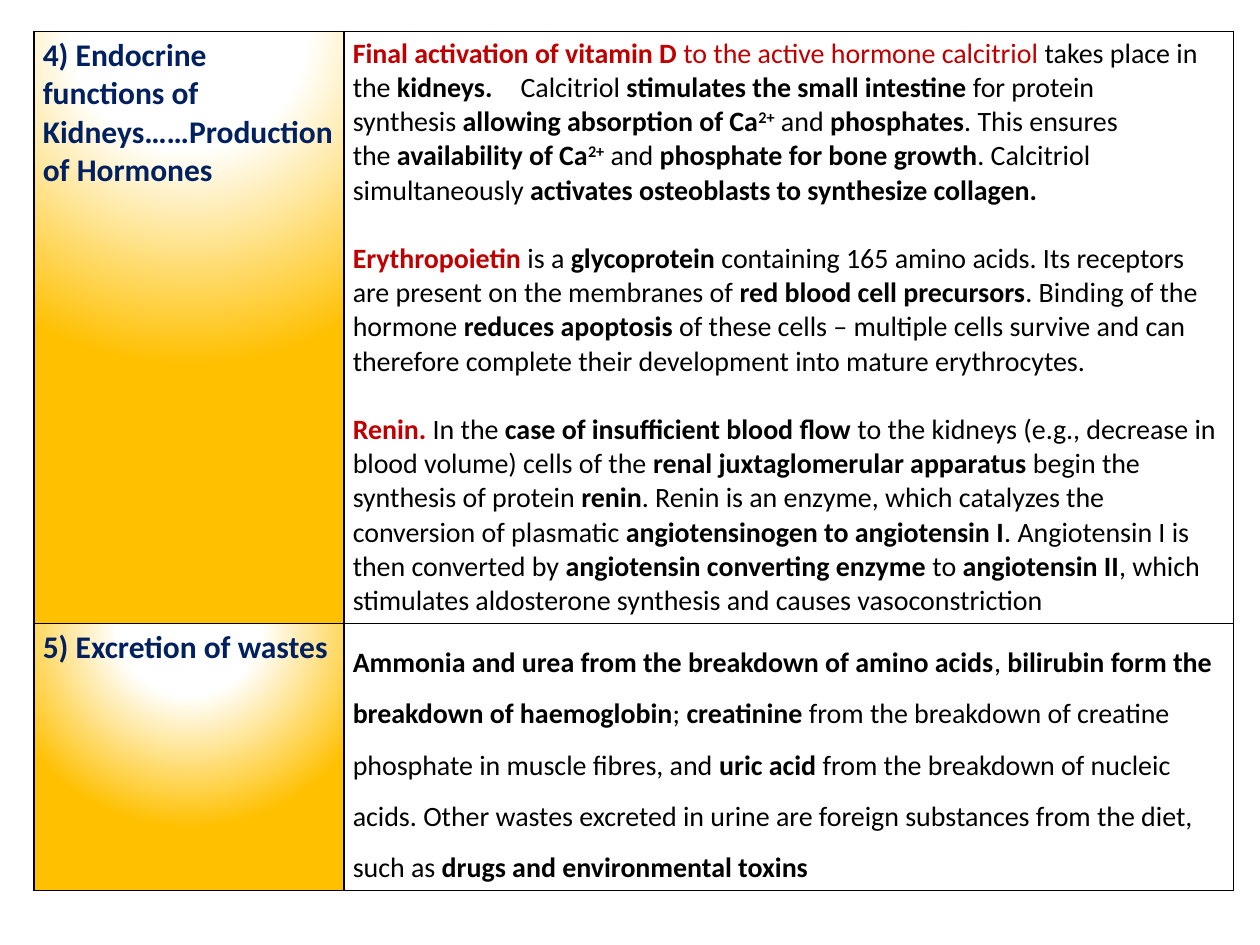
from lxml.etree import SubElement
from pptx import Presentation
from pptx.dml.color import RGBColor
from pptx.oxml.ns import qn
from pptx.util import Inches, Pt

COLORS = {"navy": "002060", "red": "C00000", "black": "000000",
          "white": "FFFFFF", "gold": "FFC000"}

# Text marks: * bold, # red, ^ superscript (each toggles);
# ~ ties two words, _ is a wide space
MARKS = {"*": "bold", "#": "red", "^": "raised"}
SPACES = {"~": chr(160), "_": chr(8195)}

HEADS = ["4) Endocrine functions of Kidneys……Production of Hormones",
         "5) Excretion of wastes"]
HORMONES = [
    "#*Final activation of vitamin D*~to the active hormone calcitriol# takes "
    "place in the~*kidneys.*_Calcitriol~*stimulates~the small intestine~*for "
    "protein synthesis~*allowing absorption of Ca^2+^*~and~*phosphates*. This "
    "ensures the~*availability of Ca^2+^*~and~*phosphate for bone growth*. "
    "Calcitriol simultaneously~*activates osteoblasts to synthesize collagen.*",
    "#*Erythropoietin*# is a~*glycoprotein*~containing 165 amino acids. Its "
    "receptors are present on the membranes of~*red blood cell precursors*. "
    "Binding of the hormone*~reduces apoptosis*~of these cells – multiple cells "
    "survive and can therefore complete their development into mature "
    "erythrocytes.",
    "#*Renin.*# In the~*case of insufficient blood flow*~to the kidneys (e.g., "
    "decrease in blood volume) cells of the~*renal~juxtaglomerular apparatus*"
    "~begin the synthesis of protein~*renin*. Renin is an enzyme, which "
    "catalyzes the conversion of plasmatic~*angiotensinogen to angiotensin I*. "
    "Angiotensin I is then converted by~*angiotensin converting enzyme*~to~"
    "*angiotensin II*, which stimulates aldosterone synthesis and causes "
    "vasoconstriction",
]
WASTES = [
    "*Ammonia and urea from the breakdown of amino acids*, *bilirubin form the "
    "breakdown of haemoglobin*; *creatinine* from the breakdown of creatine "
    "phosphate in muscle fibres, and *uric acid *from the breakdown of nucleic "
    "acids. Other wastes excreted in urine are foreign substances from the "
    "diet, such as *drugs and environmental toxins*",
]


def set_all(item, values):
    for name, value in values.items():
        setattr(item, name, value)


def add_run(para, text, size, color, bold=True, raised=False):
    run = para.add_run()
    run.text = text
    set_all(run.font, {"name": "Calibri", "size": Pt(size), "bold": bold})
    run.font.color.rgb = RGBColor.from_string(COLORS[color])
    if raised:
        run.font._element.set("baseline", "30000")


def add_marked(para, text):
    """Split marked text into runs."""
    state = dict.fromkeys(MARKS.values(), False)
    part = ""
    for char in text + "*":
        if char not in MARKS:
            part += SPACES.get(char, char)
            continue
        if part:
            color = "red" if state["red"] else "black"
            add_run(para, part, 16, color, state["bold"], state["raised"])
        part = ""
        state[MARKS[char]] = not state[MARKS[char]]


def add_color(parent, name):
    SubElement(parent, qn("a:srgbClr"), val=COLORS[name])


def add_edges(cell):
    props = cell._tc.get_or_add_tcPr()
    for side in ("lnL", "lnR", "lnT", "lnB"):
        line = SubElement(props, qn("a:" + side), w=str(Pt(1)))
        add_color(SubElement(line, qn("a:solidFill")), "black")


def add_glow(cell):
    """Round gradient centred above the cell."""
    grad = SubElement(cell._tc.get_or_add_tcPr(), qn("a:gradFill"), rotWithShape="1")
    stops = SubElement(grad, qn("a:gsLst"))
    for pos, name in ((0, "white"), (35, "white"), (100, "gold")):
        add_color(SubElement(stops, qn("a:gs"), pos=str(pos * 1000)), name)
    focus = SubElement(grad, qn("a:path"), path="circle")
    SubElement(focus, qn("a:fillToRect"), l="50000", t="-80000", r="50000", b="180000")


def set_cell(cell):
    set_all(cell, {"margin_left": Inches(0.07), "margin_right": Inches(0.07),
                   "margin_top": Inches(0.04), "margin_bottom": Inches(0.04)})
    add_edges(cell)


def fill_head(cell, text):
    set_cell(cell)
    add_glow(cell)
    add_run(cell.text_frame.paragraphs[0], text, 18, "navy")


def fill_body(cell, texts, pitch):
    set_cell(cell)
    cell.fill.background()
    frame = cell.text_frame
    for i, text in enumerate(texts):
        para = frame.add_paragraph() if i else frame.paragraphs[0]
        set_all(para, {"line_spacing": pitch, "space_before": Pt(19.5 if i else 0)})
        add_marked(para, text)


def main():
    deck = Presentation()
    set_all(deck, {"slide_width": Inches(10), "slide_height": Inches(7.5)})
    slide = deck.slides.add_slide(deck.slide_layouts[6])

    # Table frame
    cols, rows = (2.46, 7.06), (4.7, 2.11)
    table = slide.shapes.add_table(2, 2, Inches(0.27), Inches(0.25),
                                   Inches(sum(cols)), Inches(sum(rows))).table
    set_all(table, {"first_row": False, "horz_banding": False})
    for col, width in zip(table.columns, cols):
        col.width = Inches(width)
    for row, height in zip(table.rows, rows):
        row.height = Inches(height)

    # Headings on the left, details on the right
    for i, (head, body, pitch) in enumerate(zip(HEADS, (HORMONES, WASTES), (1.0, 1.5))):
        fill_head(table.cell(i, 0), head)
        fill_body(table.cell(i, 1), body, pitch)

    deck.save("out.pptx")


if __name__ == "__main__":
    main()
